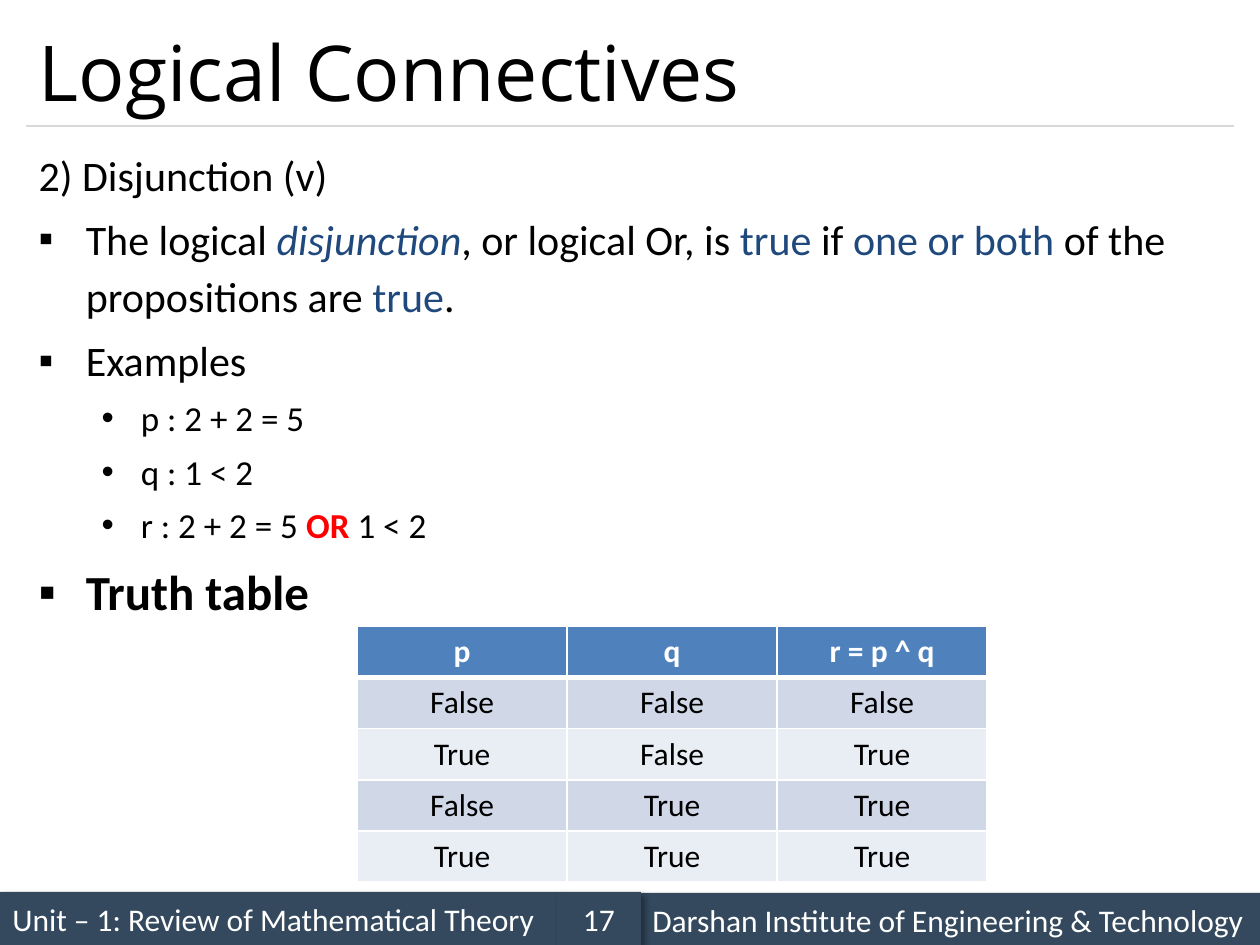
from lxml import etree
from pptx import Presentation
from pptx.dml.color import RGBColor
from pptx.enum.shapes import MSO_CONNECTOR, MSO_SHAPE
from pptx.enum.text import MSO_ANCHOR, PP_ALIGN
from pptx.oxml.ns import qn
from pptx.util import Cm, Pt

RECTANGLE = MSO_SHAPE.RECTANGLE
STRAIGHT = MSO_CONNECTOR.STRAIGHT
MIDDLE = MSO_ANCHOR.MIDDLE
LEFT, CENTER = PP_ALIGN.LEFT, PP_ALIGN.CENTER

COLORS = {
    "text": "000000", "white": "FFFFFF", "term": "1F497D", "alert": "FF0000",
    "footer": "34495E", "rule": "D9D9D9",
    "header": "4F81BD", "odd": "D0D8E8", "even": "E9EDF4",
}
BODY_FONT, TITLE_FONT = "Calibri", "Open Sans"

TITLE = "Logical Connectives"
# level name: (left margin cm, hanging indent cm, bullet)
LEVELS = {
    "plain": (0, 0, None),
    "main": (0.95, 0.95, "▪"),
    "sub": (2.06, 0.79, "•"),
}
# (level, size, [(text, style)])
BODY = [
    ("plain", 24, [("2) Disjunction (v)", "text")]),
    ("main", 24, [
        ("The logical ", "text"), ("disjunction", "term italic"),
        (", or logical Or, is ", "text"), ("true", "term"), (" if ", "text"),
        ("one or both", "term"), (" of the propositions are ", "text"),
        ("true", "term"), (".", "text"),
    ]),
    ("main", 24, [("Examples", "text")]),
    ("sub", 20, [("p : 2 + 2 = 5", "text")]),
    ("sub", 20, [("q : 1 < 2", "text")]),
    ("sub", 20, [("r : 2 + 2 = 5 ", "text"), ("OR", "alert bold"),
                 (" 1 < 2", "text")]),
    ("main", 28, [("Truth table", "text bold")]),
]
TRUTH_TABLE = [
    ("p", "q", "r = p ^ q"),
    ("False", "False", "False"),
    ("True", "False", "True"),
    ("False", "True", "True"),
    ("True", "True", "True"),
]
# (text, left, top, width, alignment), lengths in cm
FOOTER = [
    ("Unit – 1: Review of Mathematical Theory", 0, 17.98, 11.23, LEFT),
    ("Darshan Institute of Engineering & Technology", 12.9, 18, 12.5, LEFT),
    ("17", 11.23, 17.98, 1.69, CENTER),
]


def rgb(name):
    return RGBColor.from_string(COLORS[name])


def add_xml(parent, tag, **attributes):
    return etree.SubElement(parent, qn(tag), attributes)


def add_color(parent, name):
    return add_xml(parent, "a:srgbClr", val=COLORS[name])


def format_span(span, size, style="text", font=BODY_FONT):
    color, *effects = style.split()
    span.font.name = font
    span.font.size = Pt(size)
    span.font.color.rgb = rgb(color)
    span.font.bold = "bold" in effects
    span.font.italic = "italic" in effects


def add_text_box(page, left, top, width, height):
    box = page.shapes.add_textbox(Cm(left), Cm(top), Cm(width), Cm(height))
    box.text_frame.word_wrap = True
    return box.text_frame


def add_footer(page):
    for text, left, top, width, alignment in FOOTER:
        box = page.shapes.add_shape(RECTANGLE, Cm(left), Cm(top), Cm(width), Cm(1.07))
        box.fill.solid()
        box.fill.fore_color.rgb = rgb("footer")
        box.line.fill.background()
        box.shadow.inherit = False
        shadow = add_xml(box._element.spPr.find(qn("a:effectLst")), "a:outerShdw",
                         blurRad=str(Pt(4)), dist=str(Pt(3)), dir="2700000",
                         algn="tl", rotWithShape="0")
        add_xml(add_color(shadow, "text"), "a:alpha", val="40000")
        frame = box.text_frame
        frame.vertical_anchor = MIDDLE
        frame.text = text
        frame.paragraphs[0].alignment = alignment
        format_span(frame.paragraphs[0].runs[0], 18, "white")


def add_title(page):
    frame = add_text_box(page, 0.53, 0.3, 24.34, 2.24)
    frame.vertical_anchor = MIDDLE
    frame.text = TITLE
    format_span(frame.paragraphs[0].runs[0], 44, font=TITLE_FONT)
    rule = page.shapes.add_connector(STRAIGHT, Cm(0.53), Cm(2.54), Cm(24.87), Cm(2.54))
    rule.line.color.rgb = rgb("rule")
    rule.line.width = Pt(0.75)
    add_xml(rule._element.spPr, "a:effectLst")


def add_body(page):
    frame = add_text_box(page, 0.53, 2.74, 24.34, 14.81)
    for index, (level, size, spans) in enumerate(BODY):
        para = frame.add_paragraph() if index else frame.paragraphs[0]
        para.line_spacing = 1.14
        if index:
            para.space_before = Pt(round(size * 0.16, 1))
        margin, hanging, bullet = LEVELS[level]
        if bullet:
            properties = para._p.get_or_add_pPr()
            properties.set("marL", str(Cm(margin)))
            properties.set("indent", str(-Cm(hanging)))
            add_xml(properties, "a:buFont", typeface="Arial")
            add_xml(properties, "a:buChar", char=bullet)
        for text, style in spans:
            span = para.add_run()
            span.text = text
            format_span(span, size, style)


def set_borders(cell, bottom_width):
    """Draw white cell borders; they must precede the fill in the XML."""
    properties = cell._tc.get_or_add_tcPr()
    for side in "LRTB":
        width = bottom_width if side == "B" else 1
        line = add_xml(properties, f"a:ln{side}", w=str(Pt(width)))
        add_color(add_xml(line, "a:solidFill"), "white")


def add_truth_table(page):
    rows, columns = len(TRUTH_TABLE), len(TRUTH_TABLE[0])
    table = page.shapes.add_table(rows, columns, Cm(7.2), Cm(12.63),
                                  Cm(12.7), Cm(5.15)).table
    for r, values in enumerate(TRUTH_TABLE):
        fill = "header" if r == 0 else ("even", "odd")[r % 2]
        for c, value in enumerate(values):
            cell = table.cell(r, c)
            set_borders(cell, 1 if r else 3)
            cell.fill.solid()
            cell.fill.fore_color.rgb = rgb(fill)
            cell.text = value
            para = cell.text_frame.paragraphs[0]
            para.alignment = CENTER
            format_span(para.runs[0], 18, "text" if r else "white bold")


def main():
    deck = Presentation()
    deck.slide_width, deck.slide_height = Cm(25.4), Cm(19.05)
    page = deck.slides.add_slide(deck.slide_layouts[6])
    add_footer(page)
    add_title(page)
    add_body(page)
    add_truth_table(page)
    deck.save("out.pptx")


if __name__ == "__main__":
    main()
